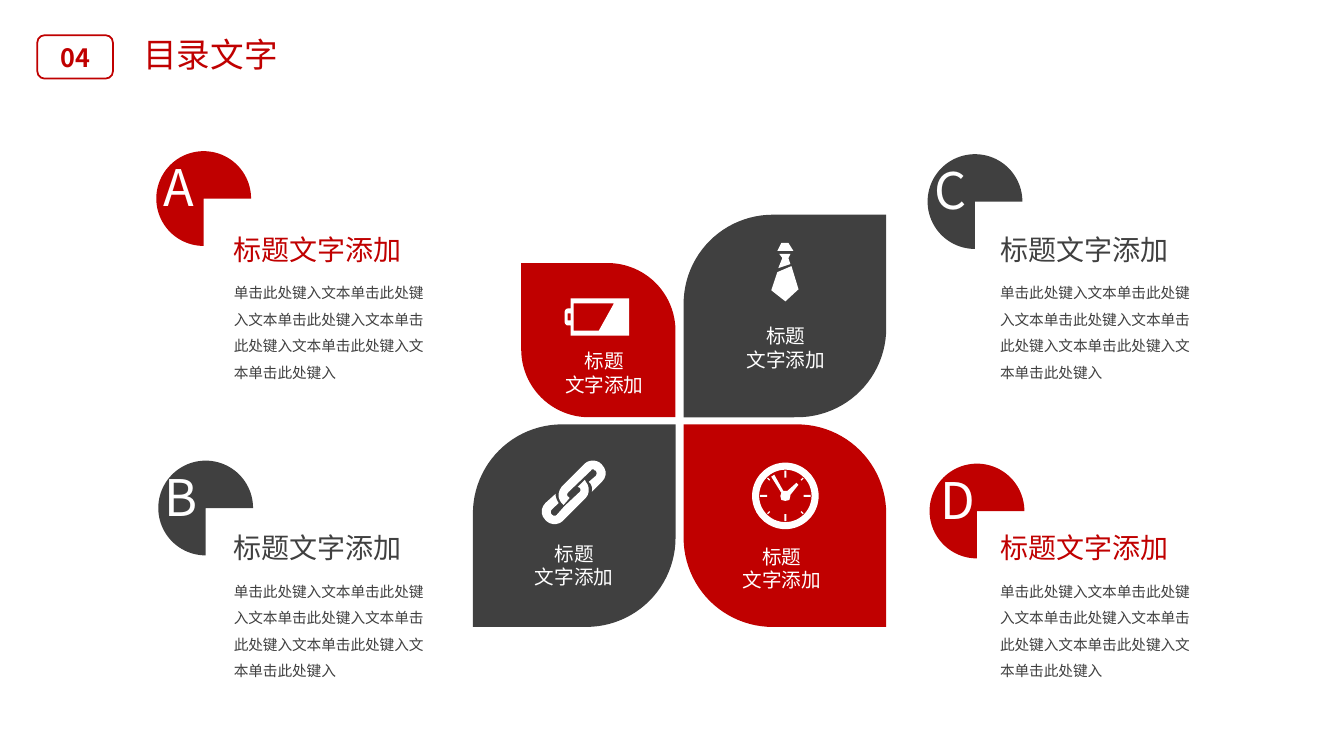
import math
from dataclasses import dataclass

from lxml import etree
from pptx import Presentation
from pptx import util as u
from pptx.dml.color import RGBColor
from pptx.enum import shapes, text
from pptx.oxml import ns

PX = 9144
FINE = 10


@dataclass(frozen=True)
class Theme:
    font: str = "Noto Sans CJK SC"
    red: str = "C00000"
    dark: str = "404040"
    white: str = "FFFFFF"
    title: int = 24
    number: int = 18
    letter: int = 36
    heading: int = 20
    label: int = 14
    body: float = 10.5


THEME = Theme()
LEFT, CENTER, JUSTIFY = text.PP_ALIGN.LEFT, text.PP_ALIGN.CENTER, text.PP_ALIGN.JUSTIFY
BODY = "单击此处键入文本" * 5 + "单击此处键入"

BATTERY = [
    [(6, 0), (64, 0), (64, 37), (6, 37), (6, 27), (4, 27), (1, 27, 0, 25, 0, 22),
     (0, 15), (0, 12, 1, 10, 4, 10), (6, 10)],
    [(3, 15), (3, 22), (6, 22), (6, 15)],
    [(9, 5), (9, 32), (34, 32), (49, 5)],
]
TIE = [
    [(20, 23), (27, 46), (14, 58), (0, 47), (6, 29)],
    [(8, 11), (19, 11), (17, 15), (19, 21), (7, 25), (11, 15)],
    [(10, 0), (17, 0), (22, 8), (6, 8)],
]
LINK = [
    [(42, 19), (43, 21), (47, 25, 47, 33, 43, 37), (20, 60), (16, 64, 8, 64, 4, 60),
     (3, 59), (-2, 54, -2, 47, 3, 42), (13, 33), (13, 36, 14, 39, 16, 42), (9, 49),
     (8, 50, 8, 52, 9, 53), (10, 54), (11, 55, 13, 55, 14, 54), (22, 45), (37, 31),
     (38, 30, 38, 28, 37, 27), (35, 26)],
    [(50, 0), (53, 0, 56, 1, 58, 3), (59, 4), (64, 9, 64, 16, 59, 21), (49, 31),
     (50, 27, 49, 24, 46, 21), (53, 15), (54, 13, 54, 12, 53, 10), (52, 10),
     (51, 8, 49, 8, 48, 10), (26, 31), (24, 33, 24, 35, 26, 36), (27, 37), (21, 44),
     (19, 42), (15, 38, 15, 31, 19, 26), (42, 3), (44, 1, 47, 0, 50, 0)],
]
HANDS = [(-2, -5), (-11, -21), (-14, -19), (-4, -3), (-5, 0), (-4, 4), (0, 5),
         (4, 4), (5, 0), (5, -1), (13, -11), (11, -13), (2, -5)]


def clock_contours(radius=33, hole=26):
    def ring(size):
        angles = [math.radians(step * 5) for step in range(72)]
        return [(size * math.cos(a), size * math.sin(a)) for a in angles]

    def tick(index):
        inner, half = (22, 0.6) if index % 2 else (18, 1)
        cos, sin = math.cos(index * math.pi / 4), math.sin(index * math.pi / 4)
        corners = [(inner, -half), (25, -half), (25, half), (inner, half)]
        return [(x * cos - y * sin, x * sin + y * cos) for x, y in corners]

    contours = [ring(radius), ring(hole), HANDS] + [tick(i) for i in range(8)]
    return [[(x + radius, y + radius) for x, y in contour] for contour in contours]


def flatten(contour):
    points = []
    for step in contour:
        if len(step) == 2:
            points.append(step)
            continue
        start, one, two, end = points[-1], step[:2], step[2:4], step[4:]
        for t in (0.2, 0.4, 0.6, 0.8, 1):
            weights = ((1 - t) ** 3, 3 * t * (1 - t) ** 2, 3 * t * t * (1 - t), t ** 3)
            points.append(tuple(
                sum(w * p[axis] for w, p in zip(weights, (start, one, two, end)))
                for axis in (0, 1)))
    return points


def rgb(color):
    return RGBColor.from_string(color)


def paint(shape, fill):
    shape.shadow.inherit = False
    shape.fill.solid()
    shape.fill.fore_color.rgb = rgb(fill)
    shape.line.fill.background()


def add_preset(page, kind, place, fill):
    shape = page.shapes.add_shape(kind, *(v * PX for v in place))
    paint(shape, fill)
    return shape


def add_icon(page, left, top, contours):
    builder = None
    for contour in contours:
        points = [((left + x) * FINE, (top + y) * FINE) for x, y in flatten(contour)]
        if builder is None:
            builder = page.shapes.build_freeform(*points[0], scale=PX / FINE)
        else:
            builder.move_to(*points[0])
        builder.add_line_segments(points[1:], close=True)
    paint(builder.convert_to_shape(), THEME.white)


def write(box, lines, size, color, align=LEFT, spacing=None, bold=False):
    frame = box.text_frame
    settings = {"word_wrap": True, "auto_size": text.MSO_AUTO_SIZE.NONE,
                "vertical_anchor": text.MSO_ANCHOR.TOP}
    for name, value in settings.items():
        setattr(frame, name, value)
    for index, line in enumerate(lines):
        para = frame.add_paragraph() if index else frame.paragraphs[0]
        para.alignment = align
        if spacing:
            para.line_spacing = u.Pt(spacing)
        span = para.add_run()
        span.text = line
        for name, value in {"size": u.Pt(size), "bold": bold, "name": THEME.font}.items():
            setattr(span.font, name, value)
        span.font.color.rgb = rgb(color)
        east = etree.SubElement(span.font._element, ns.qn("a:ea"))
        east.set("typeface", THEME.font)


def add_text(page, place, lines, size, color, **style):
    box = page.shapes.add_textbox(*(v * PX for v in place))
    write(box, lines, size, color, **style)


def add_header(page):
    frame = page.shapes.add_shape(shapes.MSO_SHAPE.ROUNDED_RECTANGLE,
                                  *(v * PX for v in (37, 35, 75, 43)))
    frame.shadow.inherit = False
    frame.fill.background()
    frame.line.color.rgb = rgb(THEME.red)
    frame.line.width = u.Pt(1.25)
    add_text(page, (46, 35, 57, 40), ["04"], THEME.number, THEME.red,
             align=CENTER, spacing=23, bold=True)
    title = page.shapes.title
    places = zip(("left", "top", "width", "height"), (132, 27, 166, 50))
    for name, value in places:
        setattr(title, name, value * PX)
    write(title, ["目录文字"], THEME.title, THEME.red, align=JUSTIFY, spacing=30)


def add_entry(page, letter, color, badge, indent, left, top):
    pie = add_preset(page, shapes.MSO_SHAPE.PIE, (*badge, 94, 94), color)
    pie.rotation = 90
    add_text(page, (badge[0] + indent, badge[1], 60, 82), [letter], THEME.letter, THEME.white)
    add_text(page, (left, top, 213, 44), ["标题文字添加"], THEME.heading, color, spacing=26)
    add_text(page, (left, top + 45, 222, 116), [BODY], THEME.body, THEME.dark, spacing=19)


def add_petal(page, place, color, rounding, icon_at, contours, label_at):
    left, top, side = place
    petal = add_preset(page, shapes.MSO_SHAPE.ROUND_2_DIAG_RECTANGLE,
                       (left, top, side, side), color)
    for index, value in enumerate(rounding):
        petal.adjustments[index] = value
    add_icon(page, *icon_at, contours)
    add_text(page, (*label_at, 103, 57), ["标题", "文字添加"], THEME.label, THEME.white,
             align=CENTER, spacing=17)


def main():
    deck = Presentation()
    deck.slide_width, deck.slide_height = u.Inches(13.33), u.Inches(7.5)
    page = deck.slides.add_slide(deck.slide_layouts[5])
    add_header(page)

    red, dark = THEME.red, THEME.dark
    for entry in (("A", red, (155, 150), -3, 222, 223),
                  ("B", dark, (157, 457), -4, 222, 519),
                  ("C", dark, (920, 153), -3, 982, 223),
                  ("D", red, (922, 460), 1, 982, 519)):
        add_entry(page, *entry)

    falling, rising = (0.44, 0), (0, 0.44)
    for petal in (((517, 261, 153), red, rising, (560, 296), BATTERY, (548, 341)),
                  ((678, 213, 201), dark, falling, (765, 241), TIE, (728, 316)),
                  ((469, 421, 201), dark, falling, (538, 457), LINK, (518, 532)),
                  ((678, 421, 201), red, rising, (746, 459), clock_contours(), (724, 535))):
        add_petal(page, *petal)
    deck.save("out.pptx")


if __name__ == "__main__":
    main()
